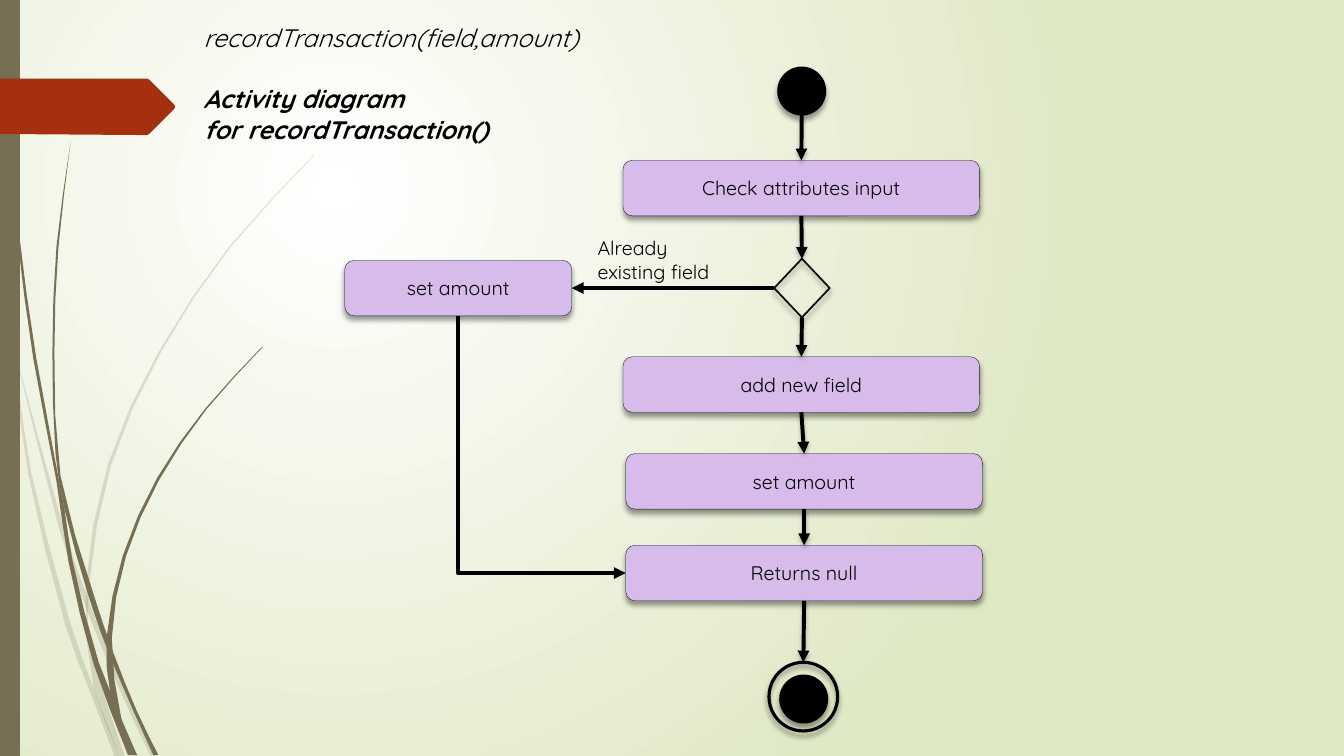
from lxml.etree import SubElement
from pptx import Presentation
from pptx.dml.color import RGBColor
from pptx.enum.shapes import MSO_CONNECTOR, MSO_SHAPE
from pptx.enum.text import MSO_ANCHOR, MSO_AUTO_SIZE, PP_ALIGN
from pptx.oxml.ns import qn
from pptx.util import Cm, Pt

BLACK = RGBColor(0x00, 0x00, 0x00)
NEAR_BLACK = RGBColor(0x0D, 0x0D, 0x0D)
WHITE = RGBColor(0xFF, 0xFF, 0xFF)
PALE_GREEN = RGBColor(0xDF, 0xE8, 0xC4)
OLIVE = RGBColor(0x76, 0x6F, 0x54)
RUST = RGBColor(0xA5, 0x30, 0x10)
LILAC = RGBColor(0xD6, 0xBB, 0xEB)
FONT = "Quicksand"
GRID = Cm(0.0254)  # unit of the outline points below
CURVE_STEPS = 2
ACTION_WIDTH, ACTION_HEIGHT = 8.99, 1.4

# Each wisp is a pair of edges, both running from tip to foot.
PALE_WISPS = [
    ([(0, 282), (17, 376), (31, 469), (70, 619), (93, 683), (119, 751)],
     [(0, 299), (10, 344), (28, 470), (65, 621), (92, 693), (114, 751)]),
    ([(14, 345), (62, 520), (92, 607), (127, 692), (155, 751)],
     [(14, 345), (58, 522), (88, 610), (123, 694), (150, 751)]),
    ([(312, 153), (228, 244), (158, 348), (107, 461), (85, 584), (93, 683), (119, 751)],
     [(312, 154), (229, 245), (160, 349), (110, 462), (88, 584), (91, 646), (124, 751)]),
]
DARK_WISPS = [
    ([(3, 0), (7, 110), (17, 233), (33, 355), (56, 477), (68, 557), (93, 659), (127, 749)],
     [(4, 0), (8, 109), (19, 232), (36, 355), (64, 505), (72, 556), (98, 657), (136, 749)]),
    ([(70, 141), (56, 245), (52, 349), (55, 449), (64, 505), (88, 592), (111, 656), (152, 749)],
     [(70, 141), (58, 245), (54, 349), (60, 472), (93, 590), (113, 649), (136, 706), (157, 749)]),
    ([(260, 344), (204, 405), (156, 474), (122, 551), (106, 631), (110, 691), (133, 749)],
     [(261, 344), (205, 406), (158, 476), (125, 552), (111, 633), (121, 716), (136, 749)]),
]
PENNANT = [(0, 78), (146, 78), (148, 79), (173, 104), (174, 106), (173, 108),
           (148, 133), (146, 134), (136, 134), (0, 133)]


def paint_background(slide):
    fill = slide.background.fill
    fill.gradient()
    for stop, color in zip(fill.gradient_stops, (WHITE, PALE_GREEN)):
        stop.color.rgb = color
    gradient = slide._element.find(".//" + qn("a:gradFill"))
    gradient.remove(gradient.find(qn("a:lin")))
    glow = SubElement(gradient, qn("a:path"), path="circle")
    SubElement(glow, qn("a:fillToRect"), l="50000", t="50000", r="100000", b="100000")


def set_opacity(fill, percent):
    color = fill._xPr.find(qn("a:solidFill"))[0]
    SubElement(color, qn("a:alpha"), val=str(percent * 1000))


def add_shadow(properties, opacity, blur, distance):
    effects = properties.find(qn("a:effectLst"))
    shadow = SubElement(effects, qn("a:outerShdw"), blurRad=str(Pt(blur)), dist=str(Pt(distance)),
                        dir="5400000", algn="ctr", rotWithShape="0")
    color = SubElement(shadow, qn("a:srgbClr"), val=str(BLACK))
    SubElement(color, qn("a:alpha"), val=str(opacity * 1000))


def smooth(points):
    """Pass a curve through the points, with tangents weighted by chord length."""
    knots = [complex(x, y) for x, y in points]
    chords = [abs(b - a) for a, b in zip(knots, knots[1:])]
    last = len(knots) - 1
    tangents = []
    for i in range(last + 1):
        before, after = max(i - 1, 0), min(i + 1, last)
        tangents.append((knots[after] - knots[before]) / sum(chords[before:after]))
    curve = [knots[0]]
    for i, chord in enumerate(chords):
        for step in range(1, CURVE_STEPS + 1):
            t = step / CURVE_STEPS
            curve.append((2 * t**3 - 3 * t**2 + 1) * knots[i]
                         + (3 * t**2 - 2 * t**3) * knots[i + 1]
                         + (t**3 - 2 * t**2 + t) * chord * tangents[i]
                         + (t**3 - t**2) * chord * tangents[i + 1])
    return [(knot.real, knot.imag) for knot in curve]


def add_outline(slide, points, color, opacity=100):
    corners = [(round(x * GRID), round(y * GRID)) for x, y in points]
    builder = slide.shapes.build_freeform(*corners[0])
    builder.add_line_segments(corners[1:])
    outline = builder.convert_to_shape()
    outline.shadow.inherit = False
    outline.fill.solid()
    outline.fill.fore_color.rgb = color
    outline.line.fill.background()
    if opacity < 100:
        set_opacity(outline.fill, opacity)


def add_wisp(slide, edges, opacity=100):
    near, far = map(smooth, edges)
    add_outline(slide, near + far[::-1], OLIVE, opacity)


def write(paragraph, text, size=14, bold=False, italic=False, align=PP_ALIGN.LEFT, before=0):
    paragraph.alignment = align
    if before:
        paragraph.space_before = Pt(before)
    run = paragraph.add_run()
    run.text = text
    run.font.name = FONT
    run.font.size = Pt(size)
    run.font.bold = bold
    run.font.italic = italic
    run.font.color.rgb = BLACK


def add_text_frame(slide, left, top, width, height):
    frame = slide.shapes.add_textbox(Cm(left), Cm(top), Cm(width), Cm(height)).text_frame
    frame.word_wrap = True
    frame.auto_size = MSO_AUTO_SIZE.SHAPE_TO_FIT_TEXT
    return frame


def add_node(slide, kind, left, top, width, height, fill=None, line=BLACK, weight=1.25):
    node = slide.shapes.add_shape(kind, Cm(left), Cm(top), Cm(width), Cm(height))
    if fill is None:
        node.fill.background()
    else:
        node.fill.solid()
        node.fill.fore_color.rgb = fill
    node.line.color.rgb = line
    node.line.width = Pt(weight)
    node.shadow.inherit = False
    add_shadow(node._element.spPr, 40, 4, 3)
    return node


def add_action(slide, text, left, top, width=ACTION_WIDTH):
    action = add_node(slide, MSO_SHAPE.FLOWCHART_ALTERNATE_PROCESS, left, top, width,
                      ACTION_HEIGHT, fill=LILAC, weight=0.25)
    set_opacity(action.line.fill, 88)
    action.text_frame.word_wrap = True
    action.text_frame.vertical_anchor = MSO_ANCHOR.MIDDLE
    write(action.text_frame.paragraphs[0], text, align=PP_ALIGN.CENTER)
    return action


def add_arrow(slide, kind, start, end, shadow=False):
    arrow = slide.shapes.add_connector(kind, *start, *end)
    arrow.line.color.rgb = BLACK
    arrow.line.width = Pt(2.8)
    SubElement(arrow.line._get_or_add_ln(), qn("a:tailEnd"), type="triangle")
    properties = arrow._element.spPr
    SubElement(properties, qn("a:effectLst"))
    if shadow:
        add_shadow(properties, 25, 3, 2)
    return arrow


def side(node, across, down):
    """Point on a node, as fractions of its width and height."""
    return round(node.left + across * node.width), round(node.top + down * node.height)


def add_down_then_right(slide, start, end):
    """One-bend arrow: a bentConnector2 turned by 270 degrees and flipped."""
    run, drop = end[0] - start[0], end[1] - start[1]
    left = (start[0] + end[0] - drop) // 2
    top = (start[1] + end[1] - run) // 2
    arrow = add_arrow(slide, MSO_CONNECTOR.ELBOW, (left, top), (left + drop, top + run))
    properties = arrow._element.spPr
    properties.find(qn("a:prstGeom")).set("prst", "bentConnector2")
    frame = properties.find(qn("a:xfrm"))
    frame.set("rot", "16200000")
    frame.set("flipH", "1")


def main():
    deck = Presentation()
    deck.slide_width, deck.slide_height = Cm(33.87), Cm(19.05)
    slide = deck.slides.add_slide(deck.slide_layouts[6])
    paint_background(slide)
    for edges in PALE_WISPS:
        add_wisp(slide, edges, opacity=20)
    for edges in DARK_WISPS:
        add_wisp(slide, edges)
    add_outline(slide, [(0, 0), (20, 0), (20, 750), (0, 750)], OLIVE)
    add_outline(slide, PENNANT, RUST)

    title = add_text_frame(slide, 4.88, 0.43, 22.53, 3.33)
    write(title.paragraphs[0], "recordTransaction(field,amount)", size=18, italic=True)
    write(title.add_paragraph(), "Activity diagram", size=18, bold=True, italic=True, before=22.5)
    write(title.add_paragraph(), "for recordTransaction()", size=18, bold=True, italic=True)

    circle = MSO_SHAPE.FLOWCHART_CONNECTOR
    start = add_node(slide, circle, 19.61, 1.7, 1.19, 1.19, fill=BLACK)
    check = add_action(slide, "Check attributes input", 15.7, 4.04)
    decision = add_node(slide, MSO_SHAPE.DIAMOND, 19.51, 6.52, 1.4, 1.48, line=NEAR_BLACK)
    add_field = add_action(slide, "add new field", 15.7, 8.99)
    set_new = add_action(slide, "set amount", 15.77, 11.43)
    returns = add_action(slide, "Returns null", 15.77, 13.74)
    set_existing = add_action(slide, "set amount", 8.69, 6.56, width=5.72)
    add_node(slide, circle, 19.66, 17.02, 1.19, 1.19, fill=BLACK)
    end_ring = add_node(slide, circle, 19.38, 16.69, 1.73, 1.73, weight=2.25)

    condition = add_text_frame(slide, 14.81, 5.82, 4.11, 1.45)
    write(condition.paragraphs[0], "Already existing field")

    flow = [start, check, decision, add_field, set_new, returns, end_ring]
    for source, target in zip(flow, flow[1:]):
        add_arrow(slide, MSO_CONNECTOR.STRAIGHT, side(source, 0.5, 1), side(target, 0.5, 0),
                  shadow=True)
    add_arrow(slide, MSO_CONNECTOR.ELBOW, side(decision, 0, 0.5), side(set_existing, 1, 0.5))
    add_down_then_right(slide, side(set_existing, 0.5, 1), side(returns, 0, 0.5))
    deck.save("out.pptx")


if __name__ == "__main__":
    main()
